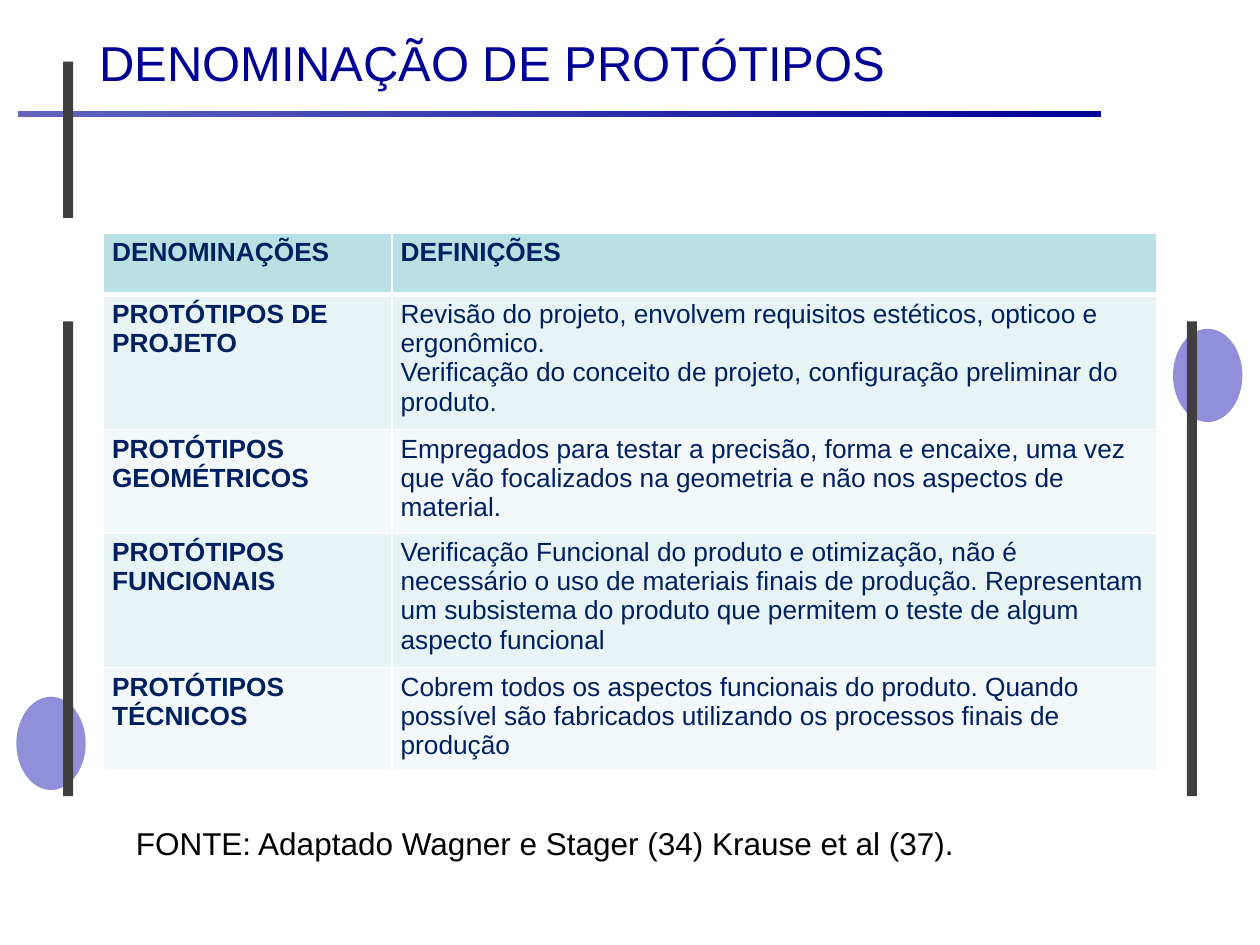
from lxml import etree
from pptx import Presentation
from pptx.dml.color import RGBColor
from pptx.enum.shapes import MSO_SHAPE
from pptx.enum.text import MSO_ANCHOR, PP_ALIGN
from pptx.oxml.ns import qn
from pptx.util import Inches, Pt

RECTANGLE, OVAL = MSO_SHAPE.RECTANGLE, MSO_SHAPE.OVAL
MIDDLE, LEFT = MSO_ANCHOR.MIDDLE, PP_ALIGN.LEFT

BLUE = RGBColor(0x00, 0x00, 0x96)
LIGHT_BLUE = RGBColor(0x64, 0x64, 0xBF)
LILAC = RGBColor(0x75, 0x75, 0xD1)
GRAY = RGBColor(0x40, 0x40, 0x40)
NAVY = RGBColor(0x00, 0x20, 0x60)
BLACK = RGBColor(0x00, 0x00, 0x00)
WHITE = RGBColor(0xFF, 0xFF, 0xFF)
HEADER_FILL = RGBColor(0xBB, 0xE0, 0xE3)
BAND_FILLS = (RGBColor(0xF3, 0xF9, 0xFA), RGBColor(0xE7, 0xF3, 0xF4))

FONT = "Arial"
COLUMN_WIDTHS = (2.29, 6.07)
ROW_HEIGHTS = (0.49, 1.07, 0.82, 1.07, 0.82)
ROWS = (
    ("DENOMINAÇÕES", "DEFINIÇÕES"),
    ("PROTÓTIPOS DE PROJETO",
     "Revisão do projeto, envolvem requisitos estéticos, opticoo e ergonômico.\n"
     "Verificação do conceito de projeto, configuração preliminar do produto."),
    ("PROTÓTIPOS GEOMÉTRICOS",
     "Empregados para testar a precisão, forma e encaixe, uma vez que vão "
     "focalizados na geometria e não nos aspectos de material."),
    ("PROTÓTIPOS FUNCIONAIS",
     "Verificação Funcional do produto e otimização, não é necessário o uso de "
     "materiais finais de produção. Representam um subsistema do produto que "
     "permitem o teste de algum aspecto funcional"),
    ("PROTÓTIPOS TÉCNICOS",
     "Cobrem todos os aspectos funcionais do produto. Quando possível são "
     "fabricados utilizando os processos finais de produção"),
)


def write_text(text_frame, text, size, color, bold=False):
    """Fill a text frame and format all its runs."""
    text_frame.text = text
    text_frame.word_wrap = True
    for para in text_frame.paragraphs:
        para.alignment = LEFT
        for span in para.runs:
            span.font.name = FONT
            span.font.size = Pt(size)
            span.font.bold = bold
            span.font.color.rgb = color


def add_plain_shape(page, kind, bounds, color):
    """Add a solid shape without outline or shadow."""
    shape = page.shapes.add_shape(kind, *map(Inches, bounds))
    shape.shadow.inherit = False
    shape.line.fill.background()
    shape.fill.solid()
    shape.fill.fore_color.rgb = color
    return shape


def add_title_rule(page):
    """Add the gradient rule under the title."""
    rule = add_plain_shape(page, RECTANGLE, (0.14, 0.88, 8.6, 0.05), BLUE)
    rule.fill.gradient()
    rule.fill.gradient_angle = 0
    for stop, color in zip(rule.fill.gradient_stops, (LIGHT_BLUE, BLUE)):
        stop.color.rgb = color


def add_disc(page, left, top):
    """Add a translucent lilac disc."""
    disc = add_plain_shape(page, OVAL, (left, top, 0.55, 0.74), LILAC)
    color = disc.fill._xPr.find(".//" + qn("a:srgbClr"))
    etree.SubElement(color, qn("a:alpha"), val="80000")


def add_bar(page, left, top, height):
    """Add a dark vertical bar."""
    add_plain_shape(page, RECTANGLE, (left, top, 0.08, height), GRAY)


def set_borders(cell, top, bottom):
    """Draw white cell borders with the given top and bottom widths."""
    properties = cell._tc.get_or_add_tcPr()
    widths = (("a:lnL", 1), ("a:lnR", 1), ("a:lnT", top), ("a:lnB", bottom))
    for position, (tag, width) in enumerate(widths):
        border = etree.Element(qn(tag), w=str(Pt(width)))
        fill = etree.SubElement(border, qn("a:solidFill"))
        etree.SubElement(fill, qn("a:srgbClr"), val=str(WHITE))
        properties.insert(position, border)


def format_cell(cell, text, row, column):
    """Write one table cell with its fill, margins and borders."""
    cell.margin_left = cell.margin_right = Inches(0.07)
    cell.margin_top = cell.margin_bottom = Inches(0.04)
    cell.fill.solid()
    cell.fill.fore_color.rgb = BAND_FILLS[row % 2] if row else HEADER_FILL
    write_text(cell.text_frame, text, 15, NAVY, bold=row == 0 or column == 0)
    set_borders(cell, top=3 if row == 1 else 1, bottom=1 if row else 3)


def add_definitions(page):
    """Add the table of prototype names and definitions."""
    bounds = (0.82, 1.85, sum(COLUMN_WIDTHS), sum(ROW_HEIGHTS))
    table = page.shapes.add_table(
        len(ROWS), len(COLUMN_WIDTHS), *map(Inches, bounds)).table
    for column, width in zip(table.columns, COLUMN_WIDTHS):
        column.width = Inches(width)
    for row, height in zip(table.rows, ROW_HEIGHTS):
        row.height = Inches(height)
    for row, texts in enumerate(ROWS):
        for column, text in enumerate(texts):
            format_cell(table.cell(row, column), text, row, column)


def set_title(page, text):
    """Place and format the slide title."""
    title = page.shapes.title
    title.left, title.top = Inches(0.69), Inches(-0.23)
    title.width, title.height = Inches(8.62), Inches(1.45)
    write_text(title.text_frame, text, 28, BLUE)
    title.text_frame.vertical_anchor = MIDDLE


def add_source(page, text):
    """Add the source line below the table."""
    box = page.shapes.add_textbox(*map(Inches, (0.98, 6.49, 7.08, 0.4)))
    write_text(box.text_frame, text, 18, BLACK)


def main():
    """Build the slide and save it."""
    deck = Presentation()
    deck.slide_width, deck.slide_height = Inches(10), Inches(7.5)
    page = deck.slides.add_slide(deck.slide_layouts[5])
    add_title_rule(page)
    for left, top in ((9.31, 2.61), (0.13, 5.53)):
        add_disc(page, left, top)
    for left, top, height in ((9.42, 2.55, 3.77), (0.5, 0.49, 1.24), (0.5, 2.55, 3.77)):
        add_bar(page, left, top, height)
    set_title(page, "DENOMINAÇÃO DE PROTÓTIPOS")
    add_definitions(page)
    add_source(page, "FONTE: Adaptado Wagner e Stager (34) Krause et al (37).")
    deck.save("out.pptx")


if __name__ == "__main__":
    main()
